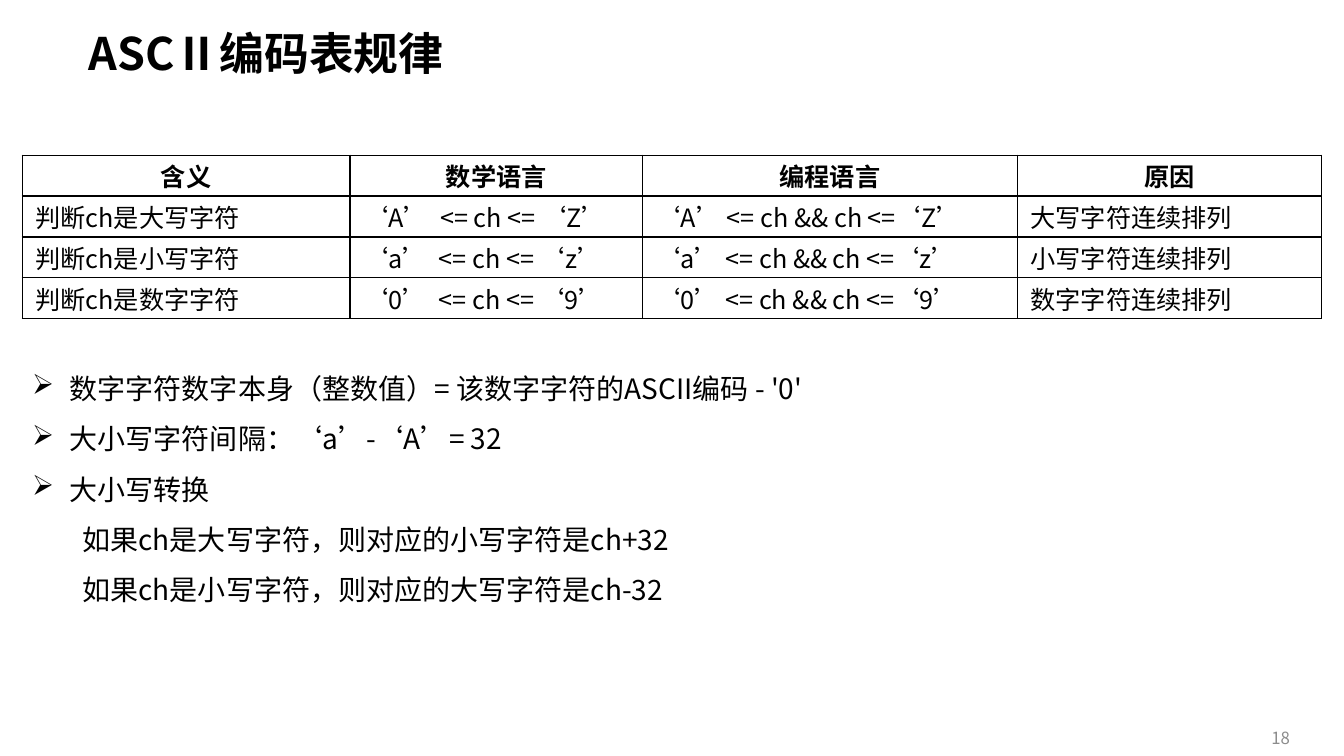
"""Build the slide on the rules of the ASCII code table."""
from dataclasses import dataclass

from lxml.etree import SubElement
from pptx import Presentation
from pptx.dml.color import RGBColor
from pptx.enum.lang import MSO_LANGUAGE_ID
from pptx.enum.text import MSO_ANCHOR, MSO_AUTO_SIZE, PP_ALIGN
from pptx.oxml.ns import qn
from pptx.util import Cm, Pt

FONT = "Noto Sans CJK SC"
BLACK = "000000"
GREY = "8C8C8C"


@dataclass
class Line:
    text: str
    level: int = 0
    left: float = 0
    mark: str = ""


@dataclass
class Box:
    left: float
    top: float
    width: float
    height: float
    lines: list[Line]
    form: dict
    anchor: MSO_ANCHOR = MSO_ANCHOR.TOP
    grow: bool = True


def paint(code: str) -> RGBColor:
    return RGBColor.from_string(code)


def write(frame, lines: list[Line], size: float = 18, color: str = BLACK,
          bold: bool = False, align=PP_ALIGN.LEFT, pitch: float | None = None) -> None:
    for spot, line in enumerate(lines):
        para = frame.add_paragraph() if spot else frame.paragraphs[0]
        props = para._p.get_or_add_pPr()
        if line.left:
            props.set("marL", str(Cm(line.left)))
            props.set("indent", str(-Cm(line.left) if line.mark else 0))
        if line.mark:
            SubElement(props, qn("a:buChar"), char=line.mark)
        para.level = line.level
        para.alignment = align
        if pitch:
            para.line_spacing = Pt(pitch)
        run = para.add_run()
        run.text = line.text
        font = run.font
        font.size = Pt(size)
        font.bold = bold
        font.color.rgb = paint(color)
        font.name = FONT
        font.language_id = MSO_LANGUAGE_ID.SIMPLIFIED_CHINESE
        SubElement(run._r.get_or_add_rPr(), qn("a:ea"), typeface=FONT)


def place(slide, box: Box) -> None:
    shape = slide.shapes.add_textbox(
        Cm(box.left), Cm(box.top), Cm(box.width), Cm(box.height))
    frame = shape.text_frame
    frame.word_wrap = True
    frame.vertical_anchor = box.anchor
    frame.auto_size = MSO_AUTO_SIZE.SHAPE_TO_FIT_TEXT if box.grow else MSO_AUTO_SIZE.NONE
    write(frame, box.lines, **box.form)


def border(cell) -> None:
    props = cell._tc.get_or_add_tcPr()
    for side in ("lnL", "lnR", "lnT", "lnB"):
        edge = SubElement(props, qn(f"a:{side}"), w=str(Pt(1)))
        fill = SubElement(edge, qn("a:solidFill"))
        SubElement(fill, qn("a:srgbClr"), val=BLACK)


def draw(slide, rows: list[list[str]], widths: list[float], height: float) -> None:
    table = slide.shapes.add_table(
        len(rows), len(widths), Cm(0.56), Cm(3.91),
        Cm(sum(widths)), Cm(height * len(rows))).table
    table.first_row = table.horz_banding = False
    for column, width in zip(table.columns, widths):
        column.width = Cm(width)
    for y, row in enumerate(rows):
        table.rows[y].height = Cm(height)
        for x, text in enumerate(row):
            cell = table.cell(y, x)
            cell.margin_left = cell.margin_right = Cm(0.33)
            cell.margin_top, cell.margin_bottom = Cm(0.2), Cm(0.05)
            border(cell)
            cell.fill.background()
            write(cell.text_frame, [Line(text)], bold=y == 0, pitch=22,
                  align=PP_ALIGN.LEFT if y else PP_ALIGN.CENTER)


KINDS = [("大写", "A", "Z"), ("小写", "a", "z"), ("数字", "0", "9")]
ROWS = [["含义", "数学语言", "编程语言", "原因"]] + [
    [f"判断ch是{kind}字符", f"‘{low}’  <= ch <= ‘{high}’",
     f"‘{low}’ <= ch && ch <=‘{high}’", f"{kind}字符连续排列"]
    for kind, low, high in KINDS]

RULES = [Line(text, left=0.95, mark="➢") for text in (
    "数字字符数字本身（整数值）= 该数字字符的ASCII编码 - '0'",
    "大小写字符间隔：‘a’-‘A’= 32",
    "大小写转换")]
CASES = [Line(text, level=1, left=1.27) for text in (
    "如果ch是大写字符，则对应的小写字符是ch+32",
    "如果ch是小写字符，则对应的大写字符是ch-32")]

NUMBER = Box(24.28, 17.93, 8.48, 1.32, [Line("18")],
             {"size": 12, "color": GREY, "align": PP_ALIGN.RIGHT},
             MSO_ANCHOR.MIDDLE, False)
BODY = Box(0.56, 8.81, 31.6, 6.68, RULES + CASES, {"size": 20, "pitch": 36})
TITLE = Box(1.98, 0.43, 25.68, 1.63, [Line("ASCⅡ编码表规律")],
            {"size": 32, "bold": True, "pitch": 41})


def main() -> None:
    deck = Presentation()
    deck.slide_width, deck.slide_height = Cm(33.87), Cm(19.05)
    slide = deck.slides.add_slide(deck.slide_layouts[6])
    for box in (NUMBER, BODY):
        place(slide, box)
    draw(slide, ROWS, [8.26, 7.37, 9.45, 7.67], 1.03)
    place(slide, TITLE)
    deck.save("out.pptx")


if __name__ == "__main__":
    main()
